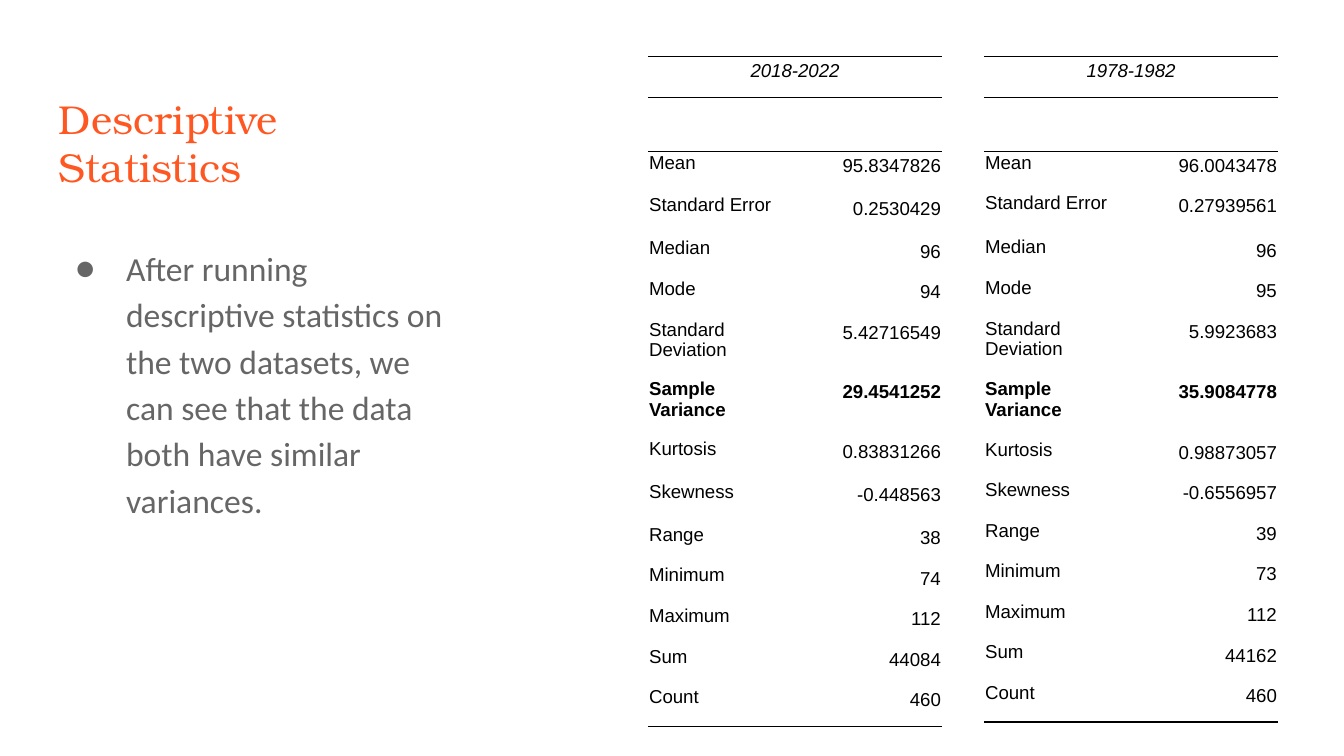
from lxml import etree
from pptx import Presentation
from pptx.dml.color import RGBColor
from pptx.enum.text import MSO_ANCHOR, PP_ALIGN
from pptx.oxml.ns import qn
from pptx.util import Inches, Pt

BOTTOM = MSO_ANCHOR.BOTTOM
TOP = MSO_ANCHOR.TOP
LEFT, CENTER, RIGHT = PP_ALIGN.LEFT, PP_ALIGN.CENTER, PP_ALIGN.RIGHT

ORANGE = RGBColor(0xFF, 0x57, 0x22)
GRAY = RGBColor(0x66, 0x66, 0x66)
BLACK = RGBColor(0x00, 0x00, 0x00)

NO_GRID_STYLE = "{2D5ABB26-0587-4C30-8999-92F81FD0307C}"
THICK, THIN = 0.75, 0.38
TABLE_SIZE = 3.28
COLUMN_WIDTHS = [1.09, 1.1]
MEASURES = [
    "Mean", "Standard Error", "Median", "Mode", "Standard Deviation",
    "Sample Variance", "Kurtosis", "Skewness", "Range", "Minimum",
    "Maximum", "Sum", "Count",
]
HIGHLIGHT = "Sample Variance"

RECENT_VALUES = [
    "95.8347826", "0.2530429", "96", "94", "5.42716549", "29.4541252",
    "0.83831266", "-0.448563", "38", "74", "112", "44084", "460",
]
RECENT_HEIGHTS = [0.24, 0.28, 0.32, 0.32, 0.24, 0.24, 0.41, 0.32,
                  0.32, 0.32, 0.24, 0.24, 0.3, 0.24, 0.24]
EARLY_VALUES = [
    "96.0043478", "0.27939561", "96", "95", "5.9923683", "35.9084778",
    "0.98873057", "-0.6556957", "39", "73", "112", "44162", "460",
]
EARLY_HEIGHTS = [0.3, 0.35, 0.3, 0.33, 0.3, 0.3, 0.45, 0.45] + [0.3] * 7


def set_font(font, name, size, color):
    font.name = name
    font.size = Pt(size)
    font.color.rgb = color


def add_text(slide, text, top, height, anchor, name, size, color):
    box = slide.shapes.add_textbox(
        Inches(0.34), Inches(top), Inches(3.07), Inches(height))
    frame = box.text_frame
    frame.word_wrap = True
    frame.vertical_anchor = anchor
    frame.margin_left = frame.margin_right = Inches(0.1)
    frame.margin_top = frame.margin_bottom = Inches(0.1)
    paragraph = frame.paragraphs[0]
    paragraph.text = text
    set_font(paragraph.font, name, size, color)
    return paragraph


def add_bullet(paragraph, color, font_name):
    properties = paragraph._p.get_or_add_pPr()
    properties.set("marL", str(Inches(0.5)))
    properties.set("indent", str(Inches(-0.38)))
    bullet_color = etree.Element(qn("a:buClr"))
    etree.SubElement(bullet_color, qn("a:srgbClr"), val=str(color))
    default_font = properties.find(qn("a:defRPr"))
    for element in (
        bullet_color,
        etree.Element(qn("a:buSzPts"), sz="1800", val="1800"),
        etree.Element(qn("a:buFont"), typeface=font_name),
        etree.Element(qn("a:buChar"), char="●"),
    ):
        element.attrib.pop("sz", None)
        default_font.addprevious(element)


def set_border(cell, tag, width):
    line = etree.SubElement(
        cell._tc.get_or_add_tcPr(), qn(tag), w=str(Pt(width)))
    fill = etree.SubElement(line, qn("a:solidFill"))
    etree.SubElement(fill, qn("a:srgbClr"), val=str(BLACK))


def style_cell(cell, top=None, bottom=None):
    if top:
        set_border(cell, "a:lnT", top)
    if bottom:
        set_border(cell, "a:lnB", bottom)
    cell.fill.background()


def write_cell(cell, text, align, bold=False, italic=False):
    cell.margin_left = cell.margin_right = cell.margin_top = Inches(0.01)
    cell.margin_bottom = Inches(0.1)
    paragraph = cell.text_frame.paragraphs[0]
    paragraph.text = text
    paragraph.alignment = align
    if align != LEFT:
        paragraph.line_spacing = 1.15
    set_font(paragraph.font, "Arial", 10, BLACK)
    paragraph.font.bold = bold
    paragraph.font.italic = italic


def clear_cell(cell):
    cell.margin_top = cell.margin_bottom = Inches(0.1)
    paragraph = cell.text_frame.paragraphs[0]._p
    for end in paragraph.findall(qn("a:endParaRPr")):
        paragraph.remove(end)
    etree.SubElement(paragraph, qn("a:endParaRPr"), sz="1200")


def add_statistics(slide, left, period, values, heights):
    frame = slide.shapes.add_table(
        len(heights), len(COLUMN_WIDTHS), Inches(left), Inches(0.42),
        Inches(TABLE_SIZE), Inches(TABLE_SIZE))
    table = frame.table
    table.first_row = table.horz_banding = False
    table._tbl.tblPr.find(qn("a:tableStyleId")).text = NO_GRID_STYLE
    for column, width in zip(table.columns, COLUMN_WIDTHS):
        column.width = Inches(width)
    for row, height in zip(table.rows, heights):
        row.height = Inches(height)
    frame.width = frame.height = Inches(TABLE_SIZE)

    borders = {0: (THICK, THIN), 1: (THIN, None),
               len(heights) - 1: (None, THICK)}
    for index, row in enumerate(table.rows):
        for cell in row.cells:
            style_cell(cell, *borders.get(index, (None, None)))

    table.cell(0, 0).merge(table.cell(0, 1))
    write_cell(table.cell(0, 0), period, CENTER, italic=True)
    for column in range(len(COLUMN_WIDTHS)):
        clear_cell(table.cell(1, column))
    for row, (measure, value) in enumerate(zip(MEASURES, values), start=2):
        bold = measure == HIGHLIGHT
        write_cell(table.cell(row, 0), measure, LEFT, bold)
        write_cell(table.cell(row, 1), value, RIGHT, bold)


def main():
    presentation = Presentation()
    presentation.slide_width = Inches(10)
    presentation.slide_height = Inches(10 * 9 / 16)
    slide = presentation.slides.add_slide(presentation.slide_layouts[6])

    add_text(slide, "Descriptive Statistics", 0.69, 0.83, BOTTOM,
             "TeX Gyre Bonum", 21.6, ORANGE)
    finding = add_text(
        slide,
        "After running descriptive statistics on the two datasets, "
        "we can see that the data both have similar variances.",
        1.7, 2.42, TOP, "Calibri", 18, GRAY)
    finding.line_spacing = 1.15
    add_bullet(finding, GRAY, "Calibri")

    add_statistics(slide, 4.82, "2018-2022", RECENT_VALUES, RECENT_HEIGHTS)
    add_statistics(slide, 7.32, "1978-1982", EARLY_VALUES, EARLY_HEIGHTS)
    presentation.save("out.pptx")


if __name__ == "__main__":
    main()
